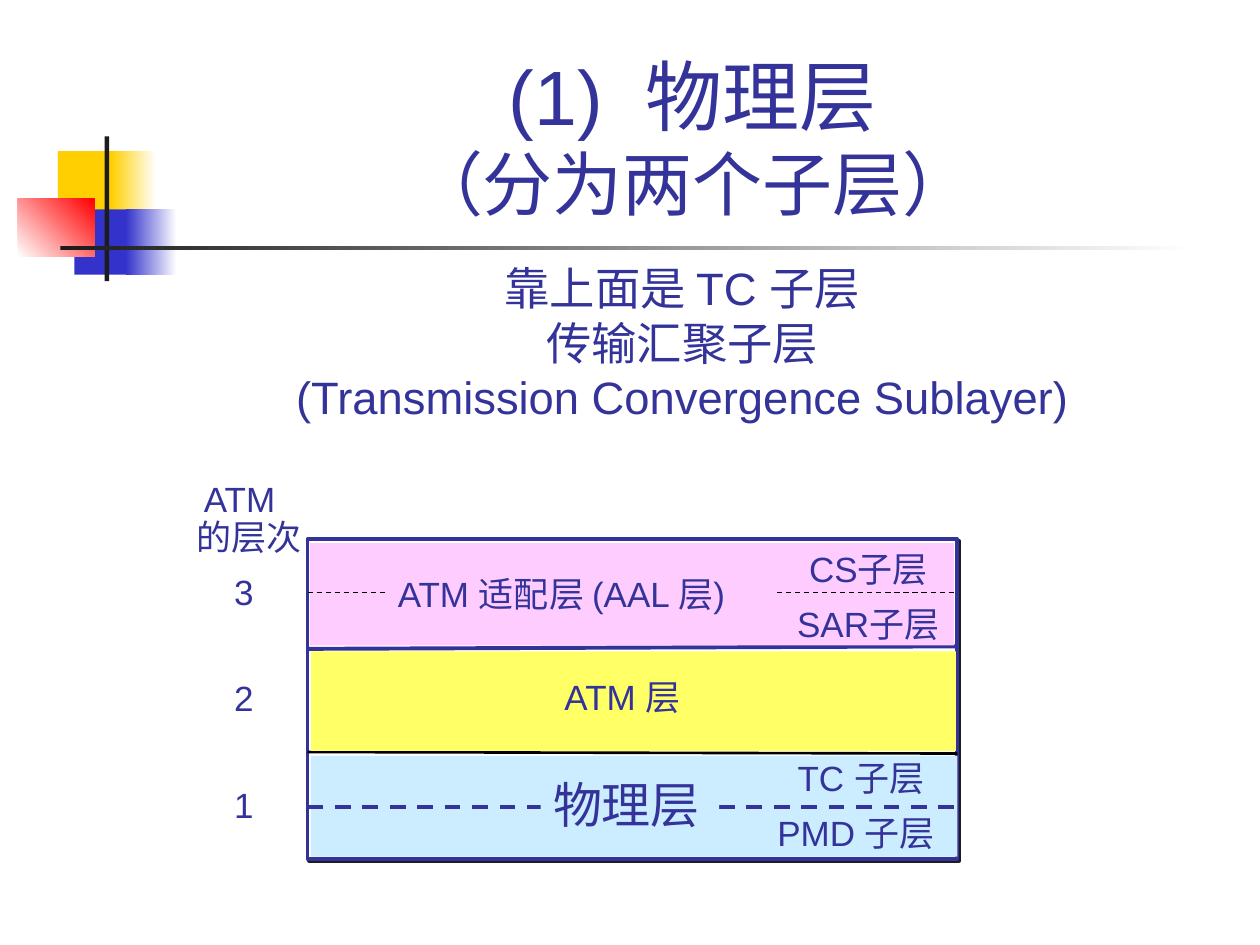
from dataclasses import dataclass

from lxml import etree
from pptx import Presentation
from pptx import util as u
from pptx.dml import color
from pptx.enum import dml, shapes, text
from pptx.oxml import ns


@dataclass(frozen=True)
class Theme:
    font: str = "Arial"
    ink: str = "333399"
    black: str = "000000"
    dark: str = "1C1C1C"
    white: str = "FFFFFF"
    gold: str = "FFCF01"
    blue: str = "3333CC"
    red: str = "FF0000"
    pink: str = "FFCCFF"
    yellow: str = "FFFF66"
    sky: str = "CCECFF"
    title: float = 44
    subtitle: float = 40
    body: float = 25.9
    layer: float = 28
    label: float = 20


THEME = Theme()
FRAME_LEFT, FRAME_TOP, FRAME_WIDTH, FRAME_HEIGHT = 6.2, 10.87, 13.1, 6.45
FRAME_RIGHT = FRAME_LEFT + FRAME_WIDTH


def rgb(value):
    return color.RGBColor.from_string(value)


def format_runs(paragraph, size):
    for run in paragraph.runs:
        run.font.name = THEME.font
        run.font.size = u.Pt(size)
        run.font.color.rgb = rgb(THEME.ink)


def add_rectangle(slide, left, top, width, height, fill, fade_to=None, angle=0):
    shape = slide.shapes.add_shape(
        shapes.MSO_SHAPE.RECTANGLE, u.Cm(left), u.Cm(top), u.Cm(width), u.Cm(height))
    shape.shadow.inherit = False
    shape.line.fill.background()
    if fade_to:
        shape.fill.gradient()
        shape.fill.gradient_angle = angle
        for stop, value in zip(shape.fill.gradient_stops, (fill, fade_to)):
            stop.color.rgb = rgb(value)
    else:
        shape.fill.solid()
        shape.fill.fore_color.rgb = rgb(fill)
    return shape


def add_line(slide, top, end_top, line_color, width, dashed=False):
    line = slide.shapes.add_connector(
        shapes.MSO_CONNECTOR.STRAIGHT,
        u.Cm(FRAME_LEFT), u.Cm(top), u.Cm(FRAME_RIGHT), u.Cm(end_top))
    line.line.color.rgb = rgb(line_color)
    line.line.width = u.Pt(width)
    if dashed:
        line.line.dash_style = dml.MSO_LINE.DASH
    etree.SubElement(line._element.spPr, ns.qn("a:effectLst"))


def add_label(slide, left, top, width, height, lines, size=THEME.label, fill=None):
    if fill:
        shape = add_rectangle(slide, left, top, width, height, fill)
    else:
        shape = slide.shapes.add_textbox(u.Cm(left), u.Cm(top), u.Cm(width), u.Cm(height))
    frame = shape.text_frame
    frame.text = lines
    frame.word_wrap = False
    frame.auto_size = text.MSO_AUTO_SIZE.SHAPE_TO_FIT_TEXT
    frame.vertical_anchor = text.MSO_ANCHOR.TOP
    for paragraph in frame.paragraphs:
        paragraph.alignment = text.PP_ALIGN.LEFT
        format_runs(paragraph, size)
    return shape


def add_ornament(slide):
    add_rectangle(slide, 1.17, 3.05, 1.22, 1.32, THEME.gold)
    add_rectangle(slide, 2.24, 3.05, 0.91, 1.32, THEME.gold, THEME.white)
    add_rectangle(slide, 1.5, 4.22, 1.17, 1.32, THEME.blue)
    add_rectangle(slide, 2.54, 4.22, 1.02, 1.32, THEME.blue, THEME.white)
    add_rectangle(slide, 0.36, 4.01, 1.55, 1.17, THEME.white, THEME.red, 45)
    add_rectangle(slide, 2.11, 2.75, 0.09, 2.92, THEME.dark)
    add_rectangle(slide, 1.22, 4.95, 22.86, 0.09, THEME.dark, THEME.white)


def add_title(slide):
    title = slide.shapes.title
    title.left, title.top, title.width, title.height = map(u.Cm, (2.55, 0.6, 22.83, 4.06))
    frame = title.text_frame
    frame.text = "(1)  物理层\v（分为两个子层）"
    frame.auto_size = text.MSO_AUTO_SIZE.NONE
    frame.vertical_anchor = text.MSO_ANCHOR.BOTTOM
    paragraph = frame.paragraphs[0]
    paragraph.alignment = text.PP_ALIGN.CENTER
    format_runs(paragraph, THEME.title)
    paragraph.runs[-1].font.size = u.Pt(THEME.subtitle)


def add_body(slide):
    body = slide.shapes.add_textbox(u.Cm(2.11), u.Cm(5.13), u.Cm(23.29), u.Cm(3.61))
    frame = body.text_frame
    frame.word_wrap = True
    frame.text = "靠上面是 TC 子层\n传输汇聚子层\n(Transmission Convergence Sublayer)"
    for paragraph in frame.paragraphs:
        paragraph.alignment = text.PP_ALIGN.CENTER
        paragraph.line_spacing = 1.0
        format_runs(paragraph, THEME.body)


def add_frame(slide):
    frame = add_rectangle(
        slide, FRAME_LEFT, FRAME_TOP, FRAME_WIDTH, FRAME_HEIGHT, THEME.white)
    frame.line.color.rgb = rgb(THEME.ink)
    frame.line.width = u.Pt(2.25)
    effects = frame._element.spPr.find(ns.qn("a:effectLst"))
    shadow = etree.SubElement(
        effects, ns.qn("a:outerShdw"), dist=str(u.Pt(1.4)), dir="2700000")
    etree.SubElement(shadow, ns.qn("a:srgbClr"), val=THEME.dark)


def add_layers(slide):
    add_frame(slide)
    add_line(slide, 15.16, 15.19, THEME.black, 1.5)
    add_line(slide, 13.08, 13.03, THEME.ink, 2.25)
    add_rectangle(slide, 6.27, 15.24, 13.03, 2.03, THEME.sky)
    add_line(slide, 16.26, 16.26, THEME.ink, 2.25, dashed=True)
    add_rectangle(slide, 6.27, 13.13, 13, 2.01, THEME.yellow)
    add_rectangle(slide, 6.25, 10.95, 12.98, 2.06, THEME.pink)
    add_line(slide, 11.94, 11.94, THEME.black, 0.75, dashed=True)


def add_labels(slide):
    add_label(slide, 11.13, 13.49, 3.1, 1.12, "ATM 层")
    add_label(slide, 10.9, 15.49, 3.6, 1.45, "物理层", THEME.layer, THEME.sky)
    add_label(slide, 7.77, 11.42, 7.88, 1.12, "ATM 适配层 (AAL 层)", fill=THEME.pink)
    sublayers = (
        ("CS子层", 16.06, 10.91, 3.15),
        ("SAR子层", 15.82, 12.02, 3.65),
        ("TC 子层", 15.83, 15.13, 3.3),
        ("PMD 子层", 15.42, 16.23, 3.9),
    )
    for name, left, top, width in sublayers:
        add_label(slide, left, top, width, 1.12, name)
    for row, number in enumerate("321"):
        add_label(slide, 4.47, 11.38 + 2.14 * row, 0.89, 1.12, number)
    heading = add_label(slide, 3.71, 9.6, 2.65, 1.78, "ATM\n的层次")
    for paragraph in heading.text_frame.paragraphs:
        paragraph.line_spacing = 0.9
    first = heading.text_frame.paragraphs[0]
    first._p.get_or_add_pPr().set("marL", str(u.Cm(0.15)))


def main():
    presentation = Presentation()
    presentation.slide_width, presentation.slide_height = u.Cm(25.4), u.Cm(19.05)
    slide = presentation.slides.add_slide(presentation.slide_layouts[5])
    add_ornament(slide)
    add_title(slide)
    add_body(slide)
    add_layers(slide)
    add_labels(slide)
    presentation.save("out.pptx")


if __name__ == "__main__":
    main()
